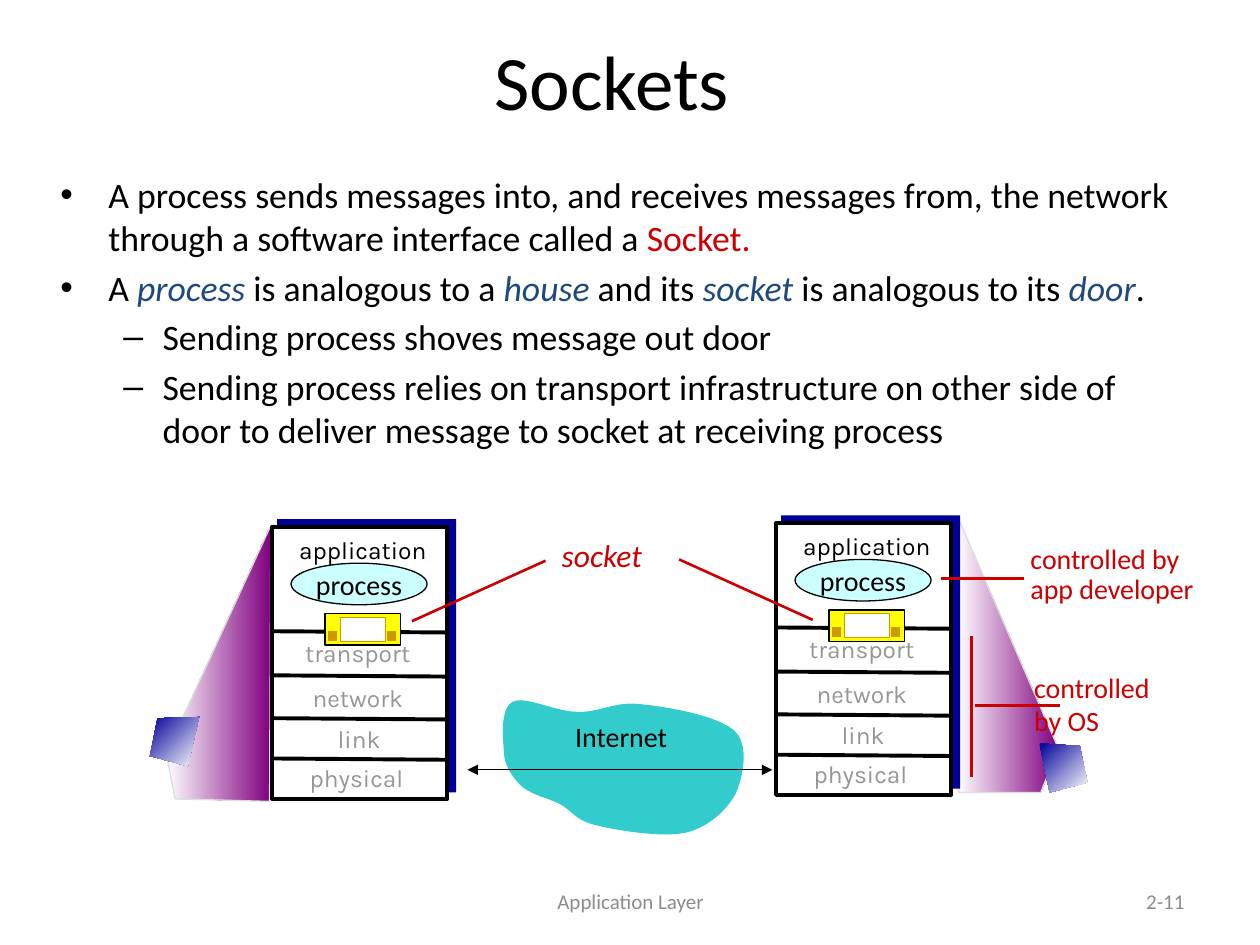
from lxml import etree
from pptx import Presentation
from pptx.dml.color import RGBColor
from pptx.enum.shapes import MSO_CONNECTOR, MSO_SHAPE
from pptx.enum.text import MSO_ANCHOR, MSO_AUTO_SIZE, PP_ALIGN
from pptx.oxml.ns import qn
from pptx.util import Inches, Pt

RECT, OVAL = MSO_SHAPE.RECTANGLE, MSO_SHAPE.OVAL
STRAIGHT = MSO_CONNECTOR.STRAIGHT
LEFT, CENTER, RIGHT = PP_ALIGN.LEFT, PP_ALIGN.CENTER, PP_ALIGN.RIGHT
TOP, MIDDLE = MSO_ANCHOR.TOP, MSO_ANCHOR.MIDDLE
COLORS = {
    "black": "000000", "white": "FFFFFF", "red": "CC0000", "blue": "1F497D",
    "footer": "8C8C8C", "muted": "969696", "navy": "000099", "purple": "800080",
    "edge": "DDDDDD", "cloud": "33CCCC", "process": "CCFFFF",
    "yellow": "FFFF00", "gold": "CC9900",
}

deck = Presentation()
deck.slide_width, deck.slide_height = Inches(10), Inches(7.5)
page = deck.slides.add_slide(deck.slide_layouts[1])
unit = deck.slide_width // 100  # the grid has 100 columns and 75 rows


def write(box, paragraphs, size=16, color="black", font="Calibri", align=LEFT,
          anchor=TOP, spacing=None, wrap=True, italic=None):
    """Fill a box; a paragraph is a string or a list of (text, color, italic)."""
    frame = box.text_frame
    frame.word_wrap, frame.vertical_anchor = wrap, anchor
    frame.auto_size = MSO_AUTO_SIZE.NONE
    for number, spans in enumerate(paragraphs):
        para = frame.add_paragraph() if number else frame.paragraphs[0]
        para.alignment, para.line_spacing = align, spacing
        if isinstance(spans, str):
            spans = [(spans, color, italic)]
        for text, tint, slanted in spans:
            span = para.add_run()
            span.text = text
            span.font.name, span.font.size = font, Pt(size)
            span.font.italic = slanted
            span.font.color.rgb = RGBColor.from_string(COLORS[tint])


def draw(kind, places, fill=None, edge=None, width=0.75, angle=0, parent=page):
    """Add a text box, line, polygon or preset shape, placed in grid units."""
    if kind == "polygon":
        points = [(round(x * unit), round(y * unit)) for x, y in places]
        builder = parent.shapes.build_freeform(*points[0])
        builder.add_line_segments(points[1:], close=True)
        shape = builder.convert_to_shape()
    else:
        lengths = [round(place * unit) for place in places]
        if kind == "text":
            return parent.shapes.add_textbox(*lengths)
        if kind == "line":
            shape = parent.shapes.add_connector(STRAIGHT, *lengths)
            etree.SubElement(shape._element.spPr, qn("a:effectLst"))
        else:
            shape = parent.shapes.add_shape(kind, *lengths)
    if kind != "line":
        shape.shadow.inherit = False
        if isinstance(fill, tuple):
            shape.fill.gradient()
            shape.fill.gradient_angle = angle
            for stop, tint in zip(shape.fill.gradient_stops, fill):
                stop.color.rgb = RGBColor.from_string(COLORS[tint])
                stop.position = fill.index(tint)
        else:
            shape.fill.solid()
            shape.fill.fore_color.rgb = RGBColor.from_string(COLORS[fill])
    if edge:
        shape.line.color.rgb = RGBColor.from_string(COLORS[edge])
        shape.line.width = Pt(width)
    else:
        shape.line.fill.background()
    return shape


# Title and list
title, body = page.shapes.title, page.placeholders[1]
for holder, places in ((title, (4.4, 1.4, 88.3, 9.8)), (body, (3.8, 13.2, 90, 25.5))):
    holder.left, holder.top, holder.width, holder.height = [
        round(place * unit) for place in places]
write(title, ["Sockets"], size=44, align=CENTER, anchor=MIDDLE)
write(body, [
    [("A process sends messages into, and receives messages from, the network "
      "through a software interface called a", "black", None),
     (" Socket.", "red", None)],
    [("A ", "black", None), ("process", "blue", True),
     (" is analogous to a ", "black", None), ("house", "blue", True),
     (" and its ", "black", None), ("socket", "blue", True),
     (" is analogous to its ", "black", None), ("door", "blue", True),
     (".", "black", None)],
    "Sending process shoves message out door",
    "Sending process relies on transport infrastructure on other side of "
    "door to deliver message to socket at receiving process",
], size=20.4)
for number, para in enumerate(body.text_frame.paragraphs):
    para.level = number // 2
    para.space_before = Pt(4 if number else 0)
    margin, hanging = ((0.38, 0.38), (0.81, 0.31))[para.level]
    properties = para._p.get_or_add_pPr()
    properties.set("marL", str(Inches(margin)))
    properties.set("indent", str(-Inches(hanging)))

# Footer
for places, text, align in (((34.2, 69.5, 31.7, 4), "Application Layer", CENTER),
                            ((71.7, 69.5, 23.3, 4), "2-11", RIGHT)):
    write(draw("text", places), [text], size=12, color="footer", align=align,
          anchor=MIDDLE)

# Beams from the hosts to their stacks
for outline in (
    [(84, 59.4), (76, 41), (76.1, 62.9), (82.6, 62.9)],
    [(13.2, 59.8), (21.5, 41.7), (21.4, 63.6), (13.9, 63.4)],
):
    draw("polygon", outline, fill=("white", "purple"), edge="edge")

# Cloud outline, traced from Bezier curves: two controls and an end each
start, cloud = (40, 59.6), []
for first, second, end in (
    ((39.9, 58.5), (39.7, 56.2), (40.7, 55.7)),
    ((41.7, 55.2), (44.1, 56.5), (45.8, 56.5)),
    ((47.5, 56.6), (48.9, 55.6), (50.9, 55.9)),
    ((53, 56.1), (57, 56.8), (58.3, 58)),
    ((59.5, 59.1), (59, 61.6), (58.4, 63)),
    ((57.7, 64.3), (56.2, 65.7), (54.4, 66.1)),
    ((52.5, 66.5), (48.9, 65.9), (47.3, 65.5)),
    ((45.6, 65.1), (45.4, 64.3), (44.4, 63.8)),
    ((43.4, 63.3), (42.2, 63.1), (41.4, 62.4)),
    ((40.7, 61.7), (40, 60.8), (40, 59.6)),
):
    for step in range(10):
        t = step / 10
        cloud.append([
            (1 - t) ** 3 * a + 3 * t * (1 - t) ** 2 * b + 3 * t * t * (1 - t) * c + t ** 3 * d
            for a, b, c, d in zip(start, first, second, end)])
    start = end
draw("polygon", cloud, fill="cloud")
write(draw("text", (44.5, 56.6, 9.6, 3.7)), ["Internet"], align=CENTER, wrap=False)
link = draw("line", (37.1, 61.1, 61.3, 61.1), edge="black")
for end in ("headEnd", "tailEnd"):
    etree.SubElement(link.line._ln, qn(f"a:{end}"), type="triangle")

# Protocol stacks
for x, y in ((21.6, 41.8), (61.6, 41.5)):
    draw(RECT, (x + 0.4, y - 0.6, 14.2, 21.7), fill="navy")
    draw(RECT, (x, y, 13.9, 21.6), fill="white", edge="black", width=2.25)
    for drop in (8.3, 11.8, 15.2, 18.4):
        draw("line", (x + 0.1, y + drop, x + 13.9, y + drop + 0.1),
             edge="black", width=2.25)
    for text, shift, drop in (("application", 0, -0.1), ("transport", -0.4, 8.1),
                              ("network", -0.4, 11.7), ("link", -0.3, 14.9),
                              ("physical", -0.5, 18)):
        write(draw("text", (x + shift, y + drop, 14.4, 3.6)), [text], size=14,
              color="muted" if shift else "black", font="Karla", align=CENTER,
              spacing=1.1)
    oval = draw(OVAL, (x + 1.5, y + 2.9, 10.8, 3.3), fill="process", edge="black")
    write(oval, ["process"], align=CENTER, anchor=MIDDLE, wrap=False)
    # Socket icon
    icon = page.shapes.add_group_shape()
    for left, top, wide, high, fill, edge in (
        (4.2, 6.9, 6, 2.5, "yellow", "black"),
        (5.4, 7.2, 3.6, 1.9, "white", "gold"),
        (9.2, 8.3, 0.6, 0.7, "gold", "gold"),
        (4.5, 8.3, 0.6, 0.7, "gold", "gold"),
    ):
        draw(RECT, (x + left, y + top, wide, high), fill=fill, edge=edge, parent=icon)

# Red labels and their pointers
for places, lines, size, spacing, italic in (
    ((81.1, 52.7, 11.6, 9), ["controlled", "by OS"], 16, None, None),
    ((80.8, 42.8, 16.1, 5.8), ["controlled by", "app developer"], 16, 0.9, None),
    ((43.6, 42.4, 10, 4), ["socket"], 18, 0.9, True),
):
    write(draw("text", places), lines, size=size, color="red", spacing=spacing,
          italic=italic)
for ends in ((81.3, 45.9, 74.7, 45.9), (77.1, 50.5, 77.1, 61.7),
             (84.1, 56, 77.4, 56), (32.7, 49.3, 43.3, 44.5),
             (64.5, 49.2, 53.9, 44.4)):
    draw("line", ends, edge="red", width=1.5)

# Hosts
for outline in (
    [(15.8, 56.9), (12.5, 57), (11.9, 60), (14.9, 60.8)],
    [(82.5, 59), (85.7, 59.2), (86.3, 62.1), (83.3, 62.9)],
):
    draw("polygon", outline, fill=("navy", "white"), angle=315)

deck.save("out.pptx")
